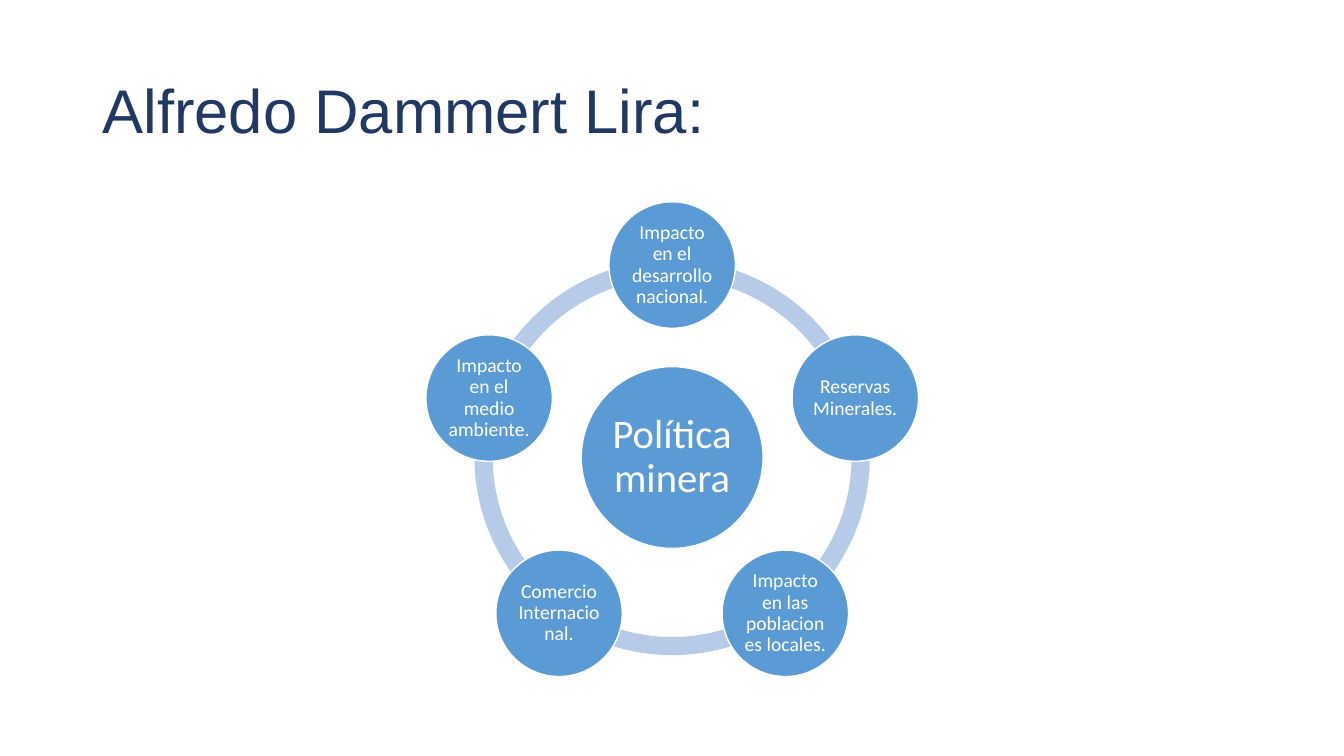
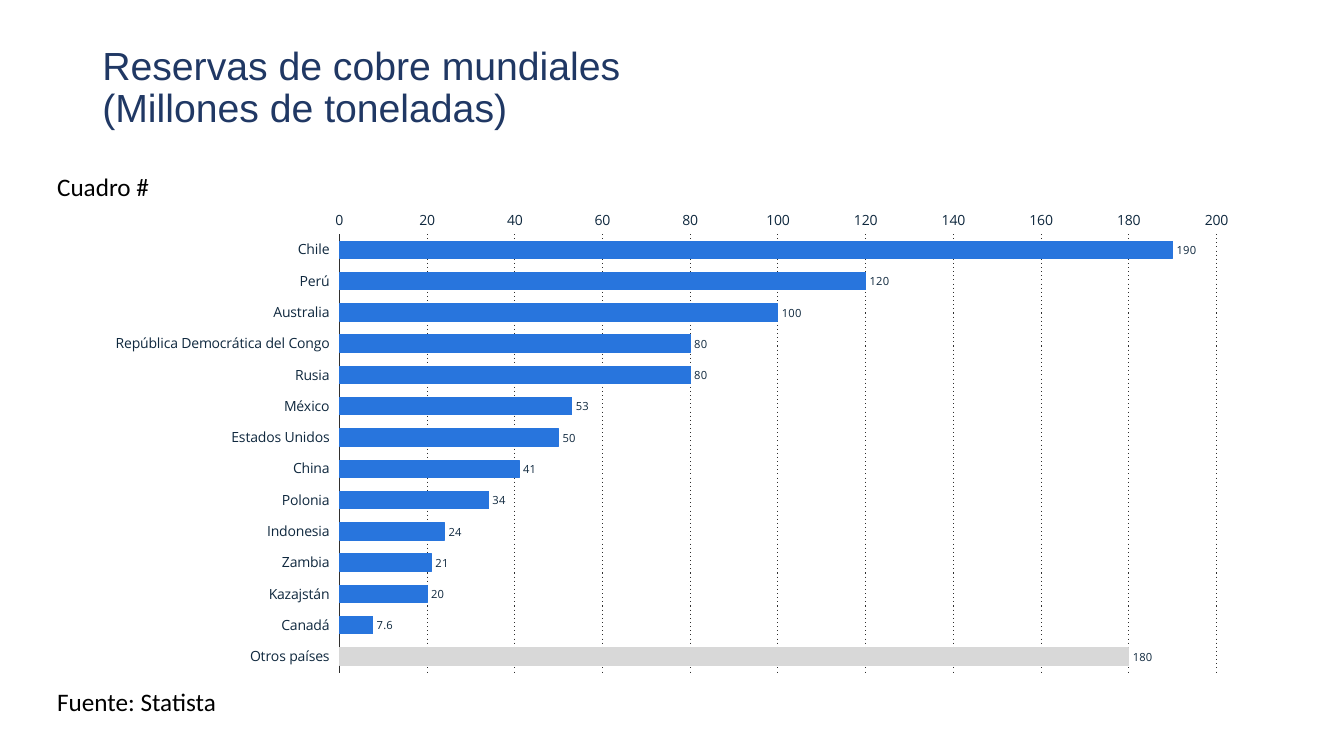
from dataclasses import dataclass
from math import cos, radians, sin

from pptx import Presentation
from pptx.chart.data import CategoryChartData
from pptx.dml.color import RGBColor
from pptx.enum.chart import (XL_CHART_TYPE, XL_LABEL_POSITION, XL_TICK_LABEL_POSITION,
                             XL_TICK_MARK)
from pptx.enum.dml import MSO_LINE
from pptx.enum.shapes import MSO_SHAPE
from pptx.enum.text import MSO_ANCHOR, PP_ALIGN
from pptx.oxml.ns import qn
from pptx.util import Cm, Pt

BAR = XL_CHART_TYPE.BAR_CLUSTERED
OUTSIDE_END = XL_LABEL_POSITION.OUTSIDE_END
LABELS_LOW = XL_TICK_LABEL_POSITION.LOW
NO_TICK = XL_TICK_MARK.NONE
DOTS = MSO_LINE.ROUND_DOT
BLOCK_ARC, OVAL = MSO_SHAPE.BLOCK_ARC, MSO_SHAPE.OVAL
MIDDLE, CENTER = MSO_ANCHOR.MIDDLE, PP_ALIGN.CENTER


@dataclass(frozen=True)
class Theme:
    title: str = "203864"
    text: str = "000000"
    white: str = "FFFFFF"
    circle: str = "5B9BD5"
    ring: str = "B5CBE7"
    bar: str = "2875DD"
    other_bar: str = "D8D8D8"
    axis_text: str = "0F283E"
    axis_line: str = "2F2F2F"
    title_font: str = "Arial"
    body_font: str = "Calibri"
    chart_font: str = "Open Sans"
    title_size: int = 44
    long_title_size: int = 28
    hub_size: int = 29
    body_size: int = 18
    node_size: int = 14
    axis_size: int = 10
    value_size: int = 8


T = Theme()

# Boxes are left, top, width, height in centimetres.
TITLE_BOX = (2.33, 1.01, 29.21, 3.68)
LONG_TITLE_BOX = (2.33, 1.01, 29.21, 2.47)
WHEEL_BOX = (11.96, 6.55, 9.96, 9.96)
CHART_BOX = (2.33, 5.08, 29.21, 12.1)
LABEL_BOX = (1.19, 4.2, 6.73, 1.03)
SOURCE_BOX = (1.19, 17.17, 6.73, 1.03)

HUB = "Política minera"
TOPICS = ["Impacto en el desarrollo nacional.", "Reservas Minerales.",
          "Impacto en las poblaciones locales.", "Comercio Internacional.",
          "Impacto en el medio ambiente."]
RESERVES = {
    "Chile": 190, "Perú": 120, "Australia": 100,
    "República Democrática del Congo": 80, "Rusia": 80, "México": 53,
    "Estados Unidos": 50, "China": 41, "Polonia": 34, "Indonesia": 24,
    "Zambia": 21, "Kazajstán": 20, "Canadá": 7.6, "Otros países": 180,
}


def rgb(color):
    return RGBColor.from_string(color)


def cm(box):
    return [Cm(v) for v in box]


def style_font(font, name, size, color):
    font.name, font.size = name, Pt(size)
    font.color.rgb = rgb(color)


def style_line(line, color, width):
    line.color.rgb = rgb(color)
    line.width = Pt(width)


def set_text(tf, text, font, size, color, spacing=1.0):
    tf.word_wrap = True
    tf.text = text
    for p in tf.paragraphs:
        p.line_spacing = spacing
        for r in p.runs:
            style_font(r.font, font, size, color)


def add_text(slide, box, text):
    tb = slide.shapes.add_textbox(*cm(box))
    set_text(tb.text_frame, text, T.body_font, T.body_size, T.text)


def add_title(slide, box, text, size):
    tf = slide.shapes.add_textbox(*cm(box)).text_frame
    tf.vertical_anchor = MIDDLE
    set_text(tf, text, T.title_font, size, T.title, 0.9)


def add_shape(slide, kind, box, fill):
    sp = slide.shapes.add_shape(kind, *cm(box))
    sp.shadow.inherit = False
    sp.fill.solid()
    sp.fill.fore_color.rgb = rgb(fill)
    sp.line.fill.background()
    return sp


def add_circle(slide, cx, cy, diameter, text, size, inset):
    box = (cx - diameter / 2, cy - diameter / 2, diameter, diameter)
    sp = add_shape(slide, OVAL, box, T.circle)
    style_line(sp.line, T.white, 1)
    tf = sp.text_frame
    tf.margin_left = tf.margin_right = tf.margin_top = tf.margin_bottom = Cm(inset)
    tf.vertical_anchor = MIDDLE
    set_text(tf, text, T.body_font, size, T.white, 0.9)
    tf.paragraphs[0].alignment = CENTER


def add_wheel(slide, box, hub, topics):
    """Ring filling the box, with a hub and one circle per topic, clockwise from the top."""
    left, top, width, height = box
    cx, cy = left + width / 2, top + height / 2
    step = 360 / len(topics)
    angles = [(270 + i * step) % 360 for i in range(len(topics))]
    for angle in angles:
        arc = add_shape(slide, BLOCK_ARC, box, T.ring)
        # Angle adjustments count 60000 per degree, scaled down by 100000.
        arc.adjustments[0] = angle * 0.6
        arc.adjustments[1] = (angle + step) % 360 * 0.6
        arc.adjustments[2] = 0.046
    add_circle(slide, cx, cy, width * 0.46, hub, T.hub_size, 0.1)
    orbit = width * 0.487
    for angle, topic in zip(angles, topics):
        add_circle(slide, cx + orbit * cos(radians(angle)), cy + orbit * sin(radians(angle)),
                   width * 0.32, topic, T.node_size, 0.05)


def style_axes(chart):
    cat, val = chart.category_axis, chart.value_axis
    for axis in (cat, val):
        axis.major_tick_mark = axis.minor_tick_mark = NO_TICK
        style_font(axis.tick_labels.font, T.chart_font, T.axis_size, T.axis_text)
    cat.reverse_order = True
    cat.has_major_gridlines = False
    cat.tick_label_position = LABELS_LOW
    style_line(cat.format.line, T.axis_line, 0.75)

    val.minimum_scale, val.maximum_scale, val.major_unit = 0, 200, 20
    val.tick_labels.number_format = "#,##0"
    val.tick_labels.number_format_is_linked = False
    val.format.line.fill.background()
    val.has_major_gridlines = True
    grid = val.major_gridlines.format.line
    style_line(grid, T.axis_line, 0.75)
    grid.dash_style = DOTS
    val._element.find(".//" + qn("a:prstDash")).set("val", "dot")


def paint_bar(fmt, color):
    fmt.fill.solid()
    fmt.fill.fore_color.rgb = rgb(color)
    style_line(fmt.line, color, 0.75)


def add_bar_chart(slide, box, values):
    """Horizontal bars in reading order; the last one is the remainder, in grey."""
    data = CategoryChartData()
    data.categories = list(values)
    data.add_series("Series 1", list(values.values()))
    chart = slide.shapes.add_chart(BAR, *cm(box), data).chart
    style_font(chart.font, T.body_font, T.body_size, T.text)
    chart.has_legend = chart.has_title = False
    style_axes(chart)

    plot = chart.plots[0]
    plot.vary_by_categories = False
    plot.gap_width, plot.overlap = 80, -30
    series = plot.series[0]
    series.invert_if_negative = False
    paint_bar(series.format, T.bar)
    paint_bar(series.points[len(values) - 1].format, T.other_bar)
    labels = series.data_labels
    labels.show_value = True
    labels.position = OUTSIDE_END
    style_font(labels.font, T.chart_font, T.value_size, T.axis_text)


def build_policy_slide(slide):
    add_title(slide, TITLE_BOX, "Alfredo Dammert Lira:", T.title_size)
    add_wheel(slide, WHEEL_BOX, HUB, TOPICS)


def build_reserves_slide(slide):
    add_title(slide, LONG_TITLE_BOX,
              "Reservas de cobre mundiales\v(Millones de toneladas)", T.long_title_size)
    add_text(slide, SOURCE_BOX, "Fuente: Statista")
    add_text(slide, LABEL_BOX, "Cuadro #")
    add_bar_chart(slide, CHART_BOX, RESERVES)


def main():
    prs = Presentation()
    prs.slide_width, prs.slide_height = Cm(33.87), Cm(19.05)
    blank = prs.slide_layouts[6]
    for build in (build_policy_slide, build_reserves_slide):
        build(prs.slides.add_slide(blank))
    prs.save("out.pptx")


if __name__ == "__main__":
    main()
